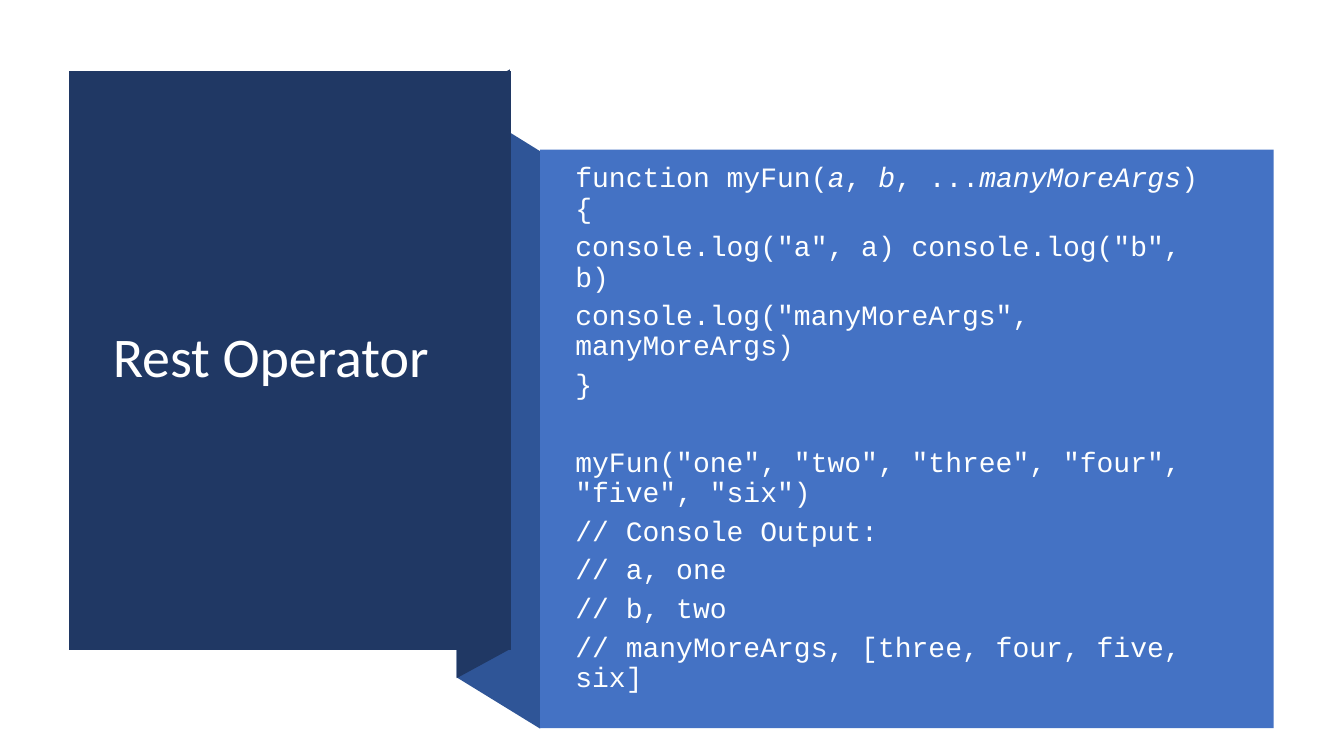
"""Build the Rest Operator slide: a folded ribbon with a title and a code sample."""
from dataclasses import dataclass

from pptx import Presentation
from pptx.dml.color import RGBColor
from pptx.enum.shapes import MSO_SHAPE
from pptx.enum.text import MSO_ANCHOR, PP_ALIGN
from pptx.util import Cm, Pt


@dataclass(frozen=True)
class Theme:
    navy: str = "203864"
    fold: str = "2F5597"
    blue: str = "4472C4"
    title_color: str = "FFFFFF"
    code_color: str = "FEFFFF"
    title_font: str = "Calibri"
    code_font: str = "Courier New"
    title_size: int = 40
    code_size: int = 20
    leading: float = 0.9
    gap: int = 6
    block_gap: int = 34


THEME = Theme()
TITLE = "Rest Operator"
SIGNATURE = [("function myFun(", False), ("a", True), (", ", False), ("b", True),
             (", ...", False), ("manyMoreArgs", True), (") { ", False)]
BLOCKS = [
    [SIGNATURE,
     [('console.log("a", a) console.log("b", b) ', False)],
     [('console.log("manyMoreArgs", manyMoreArgs) ', False)],
     [("} ", False)]],
    [[('myFun("one", "two", "three", "four", "five", "six") ', False)],
     [("// Console Output: ", False)],
     [("// a, one ", False)],
     [("// b, two ", False)],
     [("// manyMoreArgs, [three, four, five, six] ", False)]],
]
RIBBON = [
    (THEME.fold, [(13.61, 18.36), (11.51, 17.07), (11.51, 2.51), (13.61, 3.81)]),
    (THEME.navy, [(12.85, 16.36), (11.51, 17.09), (11.51, 2.49), (12.85, 1.75)]),
    (THEME.navy, [(1.75, 1.78), (12.88, 1.78), (12.88, 16.38), (1.75, 16.38)]),
]
TITLE_BOX = (2.59, 2.72, 9.42, 12.67)
CODE_PANEL = (13.61, 3.77, 18.49, 14.58)
CODE_BOX = (14.5, 4.78, 16.54, 12.04)


def cm(values):
    return [Cm(v) for v in values]


def paint(sp, color):
    sp.fill.solid()
    sp.fill.fore_color.rgb = RGBColor.from_string(color)
    sp.line.fill.background()
    sp.shadow.inherit = False


def style(r, font, size, color, italic=False):
    r.font.name, r.font.size, r.font.italic = font, Pt(size), italic
    r.font.color.rgb = RGBColor.from_string(color)


def add_ribbon(s):
    for color, corners in RIBBON:
        start, *rest = [cm(c) for c in corners]
        builder = s.shapes.build_freeform(*start, scale=1.0)
        builder.add_line_segments(rest, close=True)
        paint(builder.convert_to_shape(), color)
    paint(s.shapes.add_shape(MSO_SHAPE.RECTANGLE, *cm(CODE_PANEL)), THEME.blue)


def add_title(s):
    sp = s.shapes.title
    sp.left, sp.top, sp.width, sp.height = cm(TITLE_BOX)
    s.shapes.element.append(sp.element)
    tf = sp.text_frame
    tf.text = TITLE
    tf.vertical_anchor = MSO_ANCHOR.MIDDLE
    p = tf.paragraphs[0]
    p.alignment, p.line_spacing = PP_ALIGN.LEFT, THEME.leading
    style(p.runs[0], THEME.title_font, THEME.title_size, THEME.title_color)


def add_code(s):
    tf = s.shapes.add_textbox(*cm(CODE_BOX)).text_frame
    tf.word_wrap = True
    tf.vertical_anchor = MSO_ANCHOR.MIDDLE
    tf.margin_left = tf.margin_top = tf.margin_right = tf.margin_bottom = 0
    p = None
    for block in BLOCKS:
        if p is not None:
            p.space_after = Pt(THEME.block_gap)
        for line in block:
            p = tf.paragraphs[0] if p is None else tf.add_paragraph()
            p.line_spacing, p.space_after = THEME.leading, Pt(THEME.gap)
            for text, italic in line:
                r = p.add_run()
                r.text = text
                style(r, THEME.code_font, THEME.code_size, THEME.code_color, italic)


prs = Presentation()
prs.slide_width, prs.slide_height = Cm(33.87), Cm(19.05)
s = prs.slides.add_slide(prs.slide_layouts[5])
add_ribbon(s)
add_title(s)
add_code(s)
prs.save("out.pptx")
